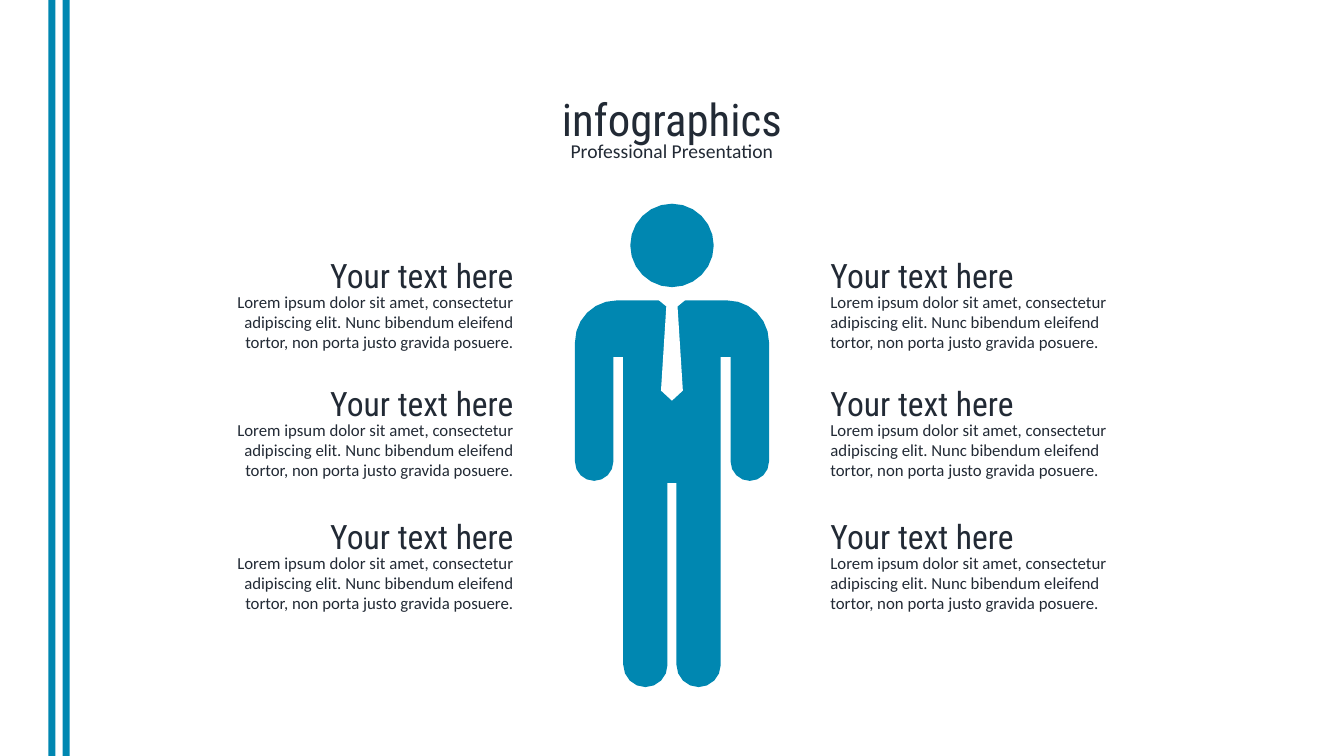
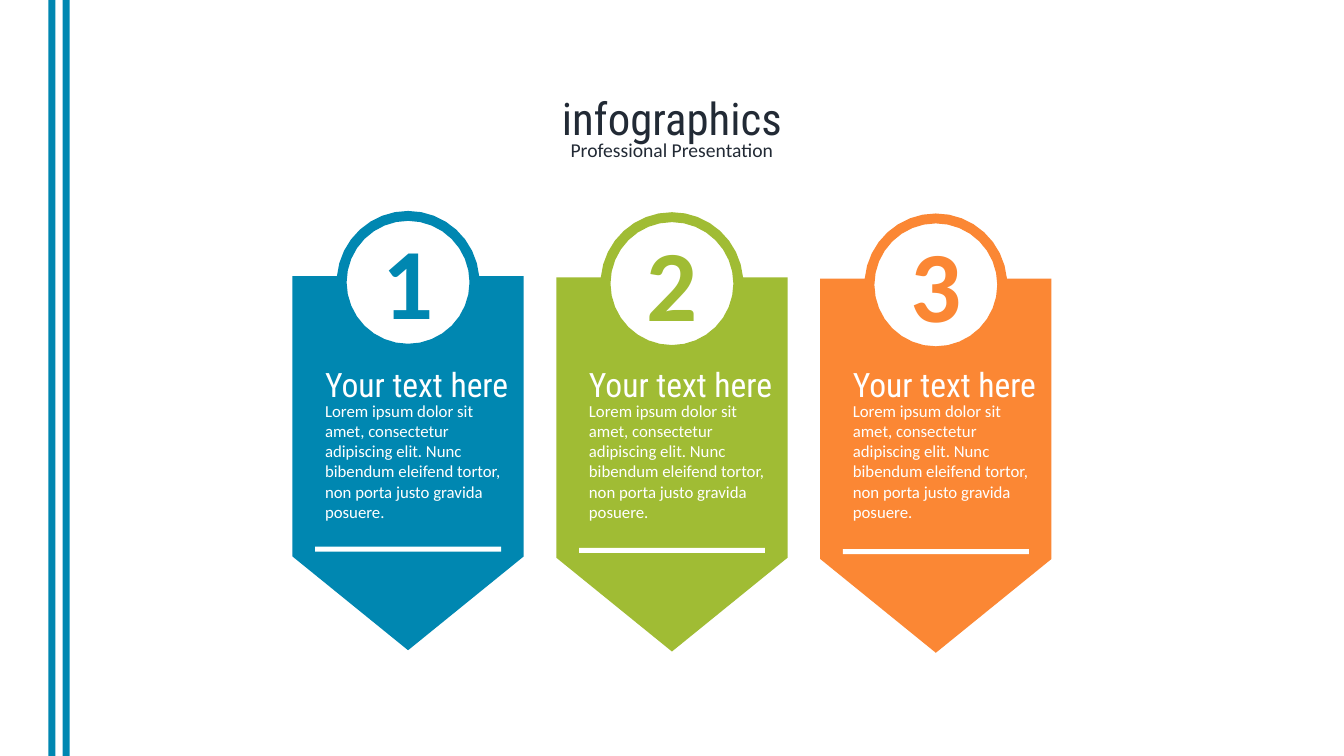
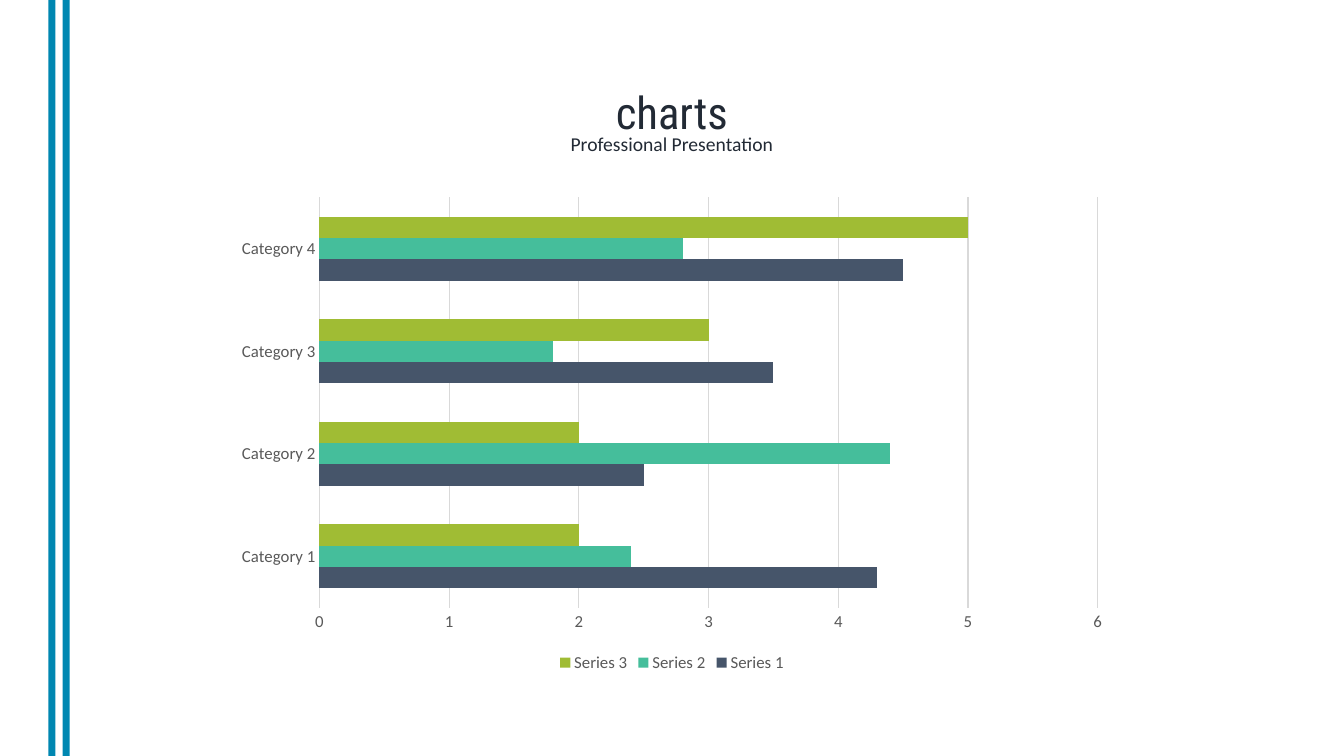
from math import cos, radians, sin

from pptx import Presentation
from pptx.chart.data import CategoryChartData
from pptx.dml.color import RGBColor
from pptx.enum import chart as ch
from pptx.enum import shapes, text
from pptx.util import Pt

BLUE = RGBColor(0x00, 0x87, 0xB1)
LIME = RGBColor(0xA0, 0xBC, 0x34)
ORANGE = RGBColor(0xFB, 0x87, 0x34)
TEAL = RGBColor(0x45, 0xBE, 0x9B)
SLATE = RGBColor(0x46, 0x55, 0x6A)
INK = RGBColor(0x22, 0x2A, 0x35)
GREY = RGBColor(0x59, 0x59, 0x59)
PALE = RGBColor(0xD9, 0xD9, 0xD9)
WHITE = RGBColor(0xFF, 0xFF, 0xFF)

# Text styles: size, font, bold
TITLE = (32, "Roboto Condensed", False)
SUB = (14, "Calibri", False)
HEAD = (24, "Roboto Condensed", False)
BODY = (12, "Calibri", False)
DIGIT = (72, "Calibri", True)

WIDE, HIGH = 960, 540
MID = WIDE / 2
LEFT, CENTER, RIGHT = (
    text.PP_ALIGN.LEFT, text.PP_ALIGN.CENTER, text.PP_ALIGN.RIGHT)
LOREM = ("Lorem ipsum dolor sit amet, consectetur adipiscing elit. "
         "Nunc bibendum eleifend tortor, non porta justo gravida posuere.")


def arc(x, y, r, start, end, steps):
    """Points on a circle, clockwise, in degrees from three o'clock."""
    turns = [radians(start + (end - start) * i / steps)
             for i in range(steps + 1)]
    return [(x + r * cos(t), y + r * sin(t)) for t in turns]


def shift(pts, dx, dy):
    return [(x + dx, y + dy) for x, y in pts]


def mirror(half):
    """Close a right half with its reflection in x = 0."""
    return half + [(-x, y) for x, y in reversed(half)]


class Deck:
    def __init__(self):
        self.prs = Presentation()
        self.prs.slide_width, self.prs.slide_height = Pt(WIDE), Pt(HIGH)
        self.slide = None

    def page(self, title, top):
        """Start a slide with its side bands and heading."""
        self.slide = self.prs.slides.add_slide(self.prs.slide_layouts[6])
        for x in (34.6, 44.8):
            self.bar(x, 0, 5, HIGH, BLUE)
        wide = 833
        x = MID - wide / 2
        self.label(title, x, top, wide, 46, TITLE, INK, CENTER)
        self.label("Professional Presentation", x, top + 33.8, wide, 24.5,
                   SUB, INK, CENTER)

    def paint(self, shape, color):
        shape.shadow.inherit = False
        shape.fill.solid()
        shape.fill.fore_color.rgb = color
        shape.line.fill.background()

    def bar(self, x, y, w, h, color):
        kind = shapes.MSO_SHAPE.RECTANGLE
        self.paint(self.slide.shapes.add_shape(
            kind, Pt(x), Pt(y), Pt(w), Pt(h)), color)

    def outline(self, color, *loops):
        """Fill closed loops of points; a second loop cuts a hole."""
        loops = [[(Pt(x), Pt(y)) for x, y in pts] for pts in loops]
        pen = self.slide.shapes.build_freeform(*loops[0][0])
        for i, pts in enumerate(loops):
            if i:
                pen.move_to(*pts[0])
            pen.add_line_segments(pts[1:], close=True)
        self.paint(pen.convert_to_shape(), color)

    def label(self, words, x, y, w, h, style, color, align=LEFT):
        box = self.slide.shapes.add_textbox(Pt(x), Pt(y), Pt(w), Pt(h))
        frame = box.text_frame
        frame.word_wrap = True
        para = frame.paragraphs[0]
        para.text, para.alignment = words, align
        self.style(para.font, style, color)
        return frame

    def style(self, font, style, color):
        size, font.name, font.bold = style
        font.size = Pt(size)
        font.color.rgb = color

    def digit(self, words, x, y, color):
        """A large numeral centred on a point."""
        side = 88
        frame = self.label(words, x - side / 2, y - side / 2, side, side,
                           DIGIT, color, CENTER)
        frame.margin_top = frame.margin_bottom = 0
        frame.vertical_anchor = text.MSO_ANCHOR.MIDDLE

    def blurb(self, x, y, w, h, color, align=LEFT):
        """A small heading with its paragraph."""
        self.label(LOREM, x, y + 26.3, w, h, BODY, color, align)
        self.label("Your text here", x, y, w, 36, HEAD, color, align)

    def chart(self, x, y, w, h, cats, rows):
        data = CategoryChartData()
        data.categories = cats
        for name, vals, _ in rows:
            data.add_series(name, vals)
        chart = self.slide.shapes.add_chart(
            ch.XL_CHART_TYPE.BAR_CLUSTERED,
            Pt(x), Pt(y), Pt(w), Pt(h), data).chart
        self.style(chart.font, BODY, GREY)
        chart.has_title = False
        chart.has_legend = True
        chart.legend.position = ch.XL_LEGEND_POSITION.BOTTOM
        chart.legend.include_in_layout = False
        plot = chart.plots[0]
        plot.gap_width, plot.vary_by_categories = 182, False
        for series, (_, _, color) in zip(plot.series, rows):
            series.format.fill.solid()
            series.format.fill.fore_color.rgb = color
        cat, val = chart.category_axis, chart.value_axis
        for axis in (cat, val):
            axis.major_tick_mark = ch.XL_TICK_MARK.NONE
            axis.minor_tick_mark = ch.XL_TICK_MARK.NONE
        val.minimum_scale, val.maximum_scale, val.major_unit = 0, 6, 1
        val.format.line.fill.background()
        val.has_major_gridlines = True
        for line in (cat.format.line, val.major_gridlines.format.line):
            line.color.rgb, line.width = PALE, Pt(0.75)


def person(deck):
    deck.page("infographics", 61.9)
    # Right half of the figure, measured from its middle line
    neck, armpit, crotch = 214.6, 254.9, 344.9
    curve = 29.8
    shoulder = arc(39.5, neck + curve, curve, -90, 0, 6)
    hand = arc(55.6, 329.8, 13.7, 0, 180, 8)
    foot = arc(19, 475, 15.8, 0, 180, 8)
    inner, side, leg = 41.9, 34.8, 3.2
    body = (shoulder + hand + [(inner, armpit), (side, armpit)]
            + foot + [(leg, crotch)])
    tie = [(9.7, neck - 0.4), (4, neck + 4.3), (7.8, neck + 64.4),
           (0, neck + 71.6)]
    deck.outline(BLUE, shift(mirror(body), MID, 0))
    deck.outline(BLUE, arc(MID, 175.3, curve, 0, 360, 24))
    deck.outline(WHITE, shift(mirror(tie), MID, 0))

    wide, gap = 231.1, 106.1
    for y in (178.6, 270, 365):
        for x, align in ((MID - gap - wide, RIGHT), (MID + gap, LEFT)):
            deck.blurb(x, y, wide, 51.1, INK, align)


def banners(deck):
    deck.page("infographics", 61.2)
    # Heights are measured from the centre of the ring
    half, top, edge, tip = 82.6, -4.4, 195.8, 262.8
    rim, hole = 51, 43.9
    frame = mirror(arc(0, 0, rim, -90, -5, 8)
                   + [(half, top), (half, edge), (0, tip)])
    ring = arc(0, 0, hole, 0, -360, 32)
    step, drop, rule = 188.5, 0.9, 132.8
    for i, color in enumerate((BLUE, LIME, ORANGE)):
        x, y = MID + step * (i - 1), 201.7 + drop * i
        start = x - rule / 2
        deck.outline(color, shift(frame, x, y), shift(ring, x, y))
        deck.digit(str(i + 1), x, y - 2, color)
        deck.bar(start, y + 188.8, rule, 3.6, WHITE)
        deck.blurb(start, 256.3, 149, 94.3, WHITE)


def bars(deck):
    deck.page("charts", 56.9)
    deck.chart(160, 134, 640, 349.4,
               [f"Category {n}" for n in range(1, 5)],
               [("Series 1", (4.3, 2.5, 3.5, 4.5), SLATE),
                ("Series 2", (2.4, 4.4, 1.8, 2.8), TEAL),
                ("Series 3", (2, 2, 3, 5), LIME)])


def main():
    deck = Deck()
    person(deck)
    banners(deck)
    bars(deck)
    deck.prs.save("out.pptx")


if __name__ == "__main__":
    main()
